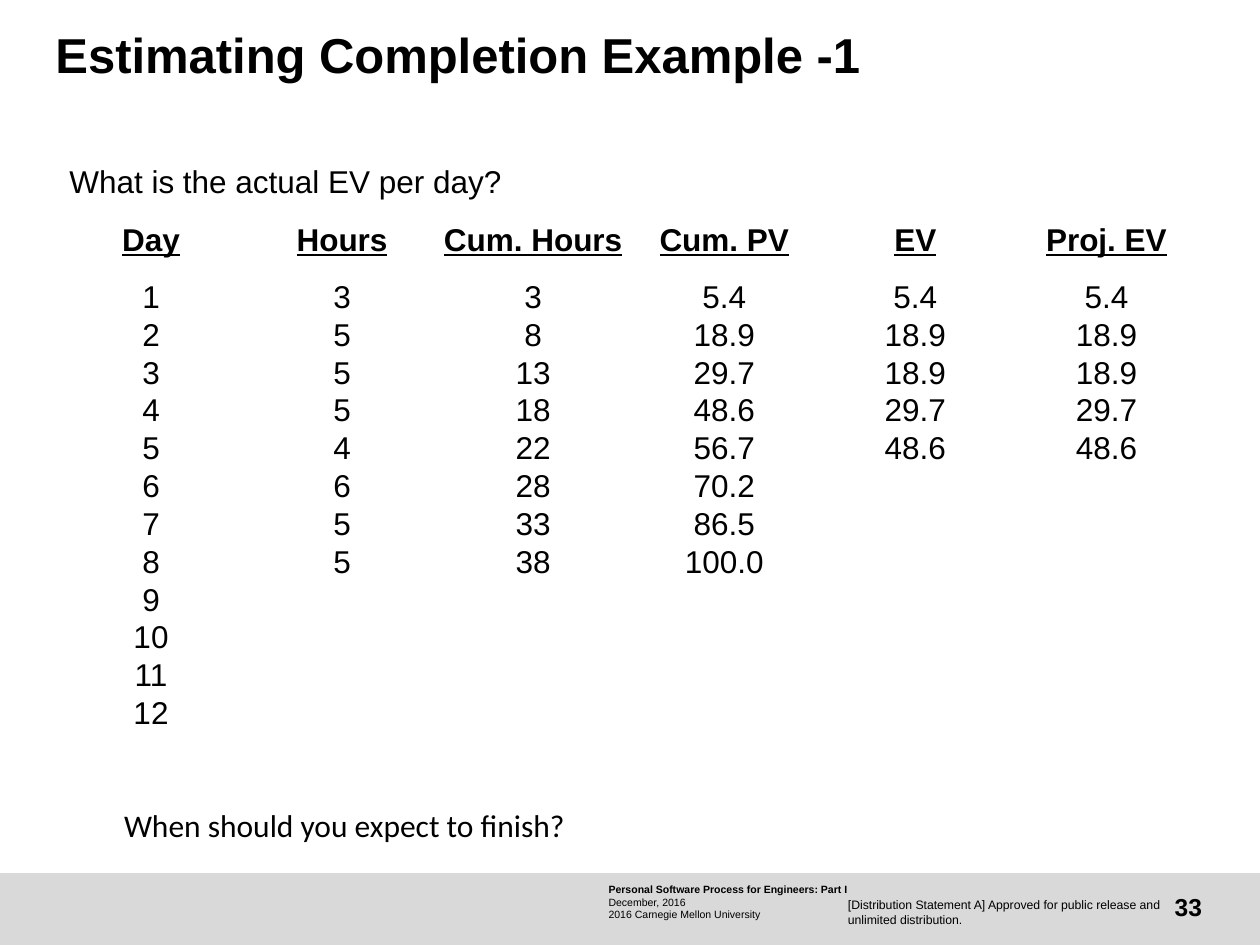
from dataclasses import dataclass

from lxml import etree
from pptx import Presentation
from pptx.dml.color import RGBColor
from pptx.enum.shapes import MSO_SHAPE
from pptx.enum.text import MSO_ANCHOR, PP_ALIGN
from pptx.oxml.ns import qn
from pptx.util import Inches, Pt

RECTANGLE = MSO_SHAPE.RECTANGLE
TOP, MIDDLE = MSO_ANCHOR.TOP, MSO_ANCHOR.MIDDLE
LEFT, CENTER, RIGHT = PP_ALIGN.LEFT, PP_ALIGN.CENTER, PP_ALIGN.RIGHT

COLORS = {"text": "000000", "footer": "D9D9D9"}

HEADERS = ("Day", "Hours", "Cum. Hours", "Cum. PV", "EV", "Proj. EV")
DAYS = (
    ("1", "3", "3", "5.4", "5.4", "5.4"),
    ("2", "5", "8", "18.9", "18.9", "18.9"),
    ("3", "5", "13", "29.7", "18.9", "18.9"),
    ("4", "5", "18", "48.6", "29.7", "29.7"),
    ("5", "4", "22", "56.7", "48.6", "48.6"),
    ("6", "6", "28", "70.2"),
    ("7", "5", "33", "86.5"),
    ("8", "5", "38", "100.0"),
    ("9",),
    ("10",),
    ("11",),
    ("12",),
)


@dataclass
class Label:
    lines: tuple[str, ...]
    left: float
    top: float
    width: float
    height: float
    size: float
    font: str = "Arial"
    bold_lines: int = 0
    align: PP_ALIGN = LEFT
    anchor: MSO_ANCHOR = TOP
    insets: tuple[float, float, float, float] = (0, 0, 0, 0)
    line_spacing: float = 1.0
    blank_bullet: bool = False
    hanging: float = 0


FOOTER_LABELS = (
    Label(("Personal Software Process for Engineers: Part I", "December, 2016",
           "2016 Carnegie Mellon University"),
          4.83, 7.01, 2.21, 0.3, 6, bold_lines=1, insets=(0, 0, 0.05, 0)),
    Label(("33",), 8.98, 7, 0.56, 0.4, 14, bold_lines=1, align=RIGHT, anchor=MIDDLE),
    Label(("[Distribution Statement A] Approved for public release and unlimited distribution.",),
          6.73, 7.12, 2.54, 0.24, 7),
)
BODY_LABELS = (
    Label(("What is the actual EV per day?",), 0.29, 1.26, 8.27, 0.48, 18,
          insets=(0.12, 0.06, 0.12, 0.06), line_spacing=0.9, blank_bullet=True, hanging=0.14),
    Label(("Estimating Completion Example -1",), 0.44, 0.25, 8.31, 0.73, 28,
          bold_lines=1, line_spacing=0.9),
)
CLOSING_LABEL = Label(("When should you expect to finish?",), 0.86, 6.43, 6.16, 0.3, 18,
                      font="Calibri", line_spacing=0.9, blank_bullet=True)


def format_runs(paragraph, name: str, size: float, bold: bool, underline: bool = False) -> None:
    for run in paragraph.runs:
        run.font.name = name
        run.font.size = Pt(size)
        run.font.bold = bold
        run.font.underline = underline
        run.font.color.rgb = RGBColor.from_string(COLORS["text"])


def set_margins(target, insets: tuple[float, float, float, float]) -> None:
    sides = ("margin_left", "margin_top", "margin_right", "margin_bottom")
    for side, inset in zip(sides, insets):
        setattr(target, side, Inches(inset))


def add_blank_bullet(paragraph, hanging: float) -> None:
    properties = paragraph._p.get_or_add_pPr()
    properties.set("marL", str(Inches(hanging)))
    properties.set("indent", str(-Inches(hanging)))
    etree.SubElement(properties, qn("a:buChar"), char=" ")


def add_label(slide, label: Label) -> None:
    shape = slide.shapes.add_textbox(Inches(label.left), Inches(label.top),
                                     Inches(label.width), Inches(label.height))
    text_frame = shape.text_frame
    text_frame.word_wrap = True
    text_frame.vertical_anchor = label.anchor
    set_margins(text_frame, label.insets)
    text_frame.text = "\n".join(label.lines)
    for index, paragraph in enumerate(text_frame.paragraphs):
        paragraph.alignment = label.align
        if label.blank_bullet:
            add_blank_bullet(paragraph, label.hanging)
        paragraph.line_spacing = label.line_spacing
        format_runs(paragraph, label.font, label.size, index < label.bold_lines)


def add_footer_band(slide) -> None:
    shape = slide.shapes.add_shape(RECTANGLE, Inches(0), Inches(6.93), Inches(10), Inches(0.57))
    shape.shadow.inherit = False
    shape.fill.solid()
    shape.fill.fore_color.rgb = RGBColor.from_string(COLORS["footer"])
    shape.line.fill.background()


def fill_cell(cell, text: str, is_header: bool) -> None:
    cell.fill.background()
    cell.vertical_anchor = MIDDLE
    set_margins(cell, (0, 0, 0, 0))
    paragraph = cell.text_frame.paragraphs[0]
    paragraph.alignment = CENTER
    if text:
        paragraph.text = text
        format_runs(paragraph, "Arial", 18, is_header, is_header)
    else:
        etree.SubElement(paragraph._p, qn("a:endParaRPr"), sz="1200")


def add_schedule_table(slide) -> None:
    rows = (HEADERS, *DAYS)
    frame = slide.shapes.add_table(len(rows), len(HEADERS), Inches(0.44), Inches(1.61),
                                   Inches(9.1), Inches(4.2))
    table = frame.table
    table.first_row = False
    table.horz_banding = False
    for row_index, values in enumerate(rows):
        is_header = row_index == 0
        table.rows[row_index].height = Inches(0.6 if is_header else 0.3)
        for column_index in range(len(HEADERS)):
            text = values[column_index] if column_index < len(values) else ""
            fill_cell(table.cell(row_index, column_index), text, is_header)


def main() -> None:
    presentation = Presentation()
    presentation.slide_width = Inches(10)
    presentation.slide_height = Inches(7.5)
    slide = presentation.slides.add_slide(presentation.slide_layouts[6])
    add_footer_band(slide)
    for label in FOOTER_LABELS + BODY_LABELS:
        add_label(slide, label)
    add_schedule_table(slide)
    add_label(slide, CLOSING_LABEL)
    presentation.save("out.pptx")


if __name__ == "__main__":
    main()
